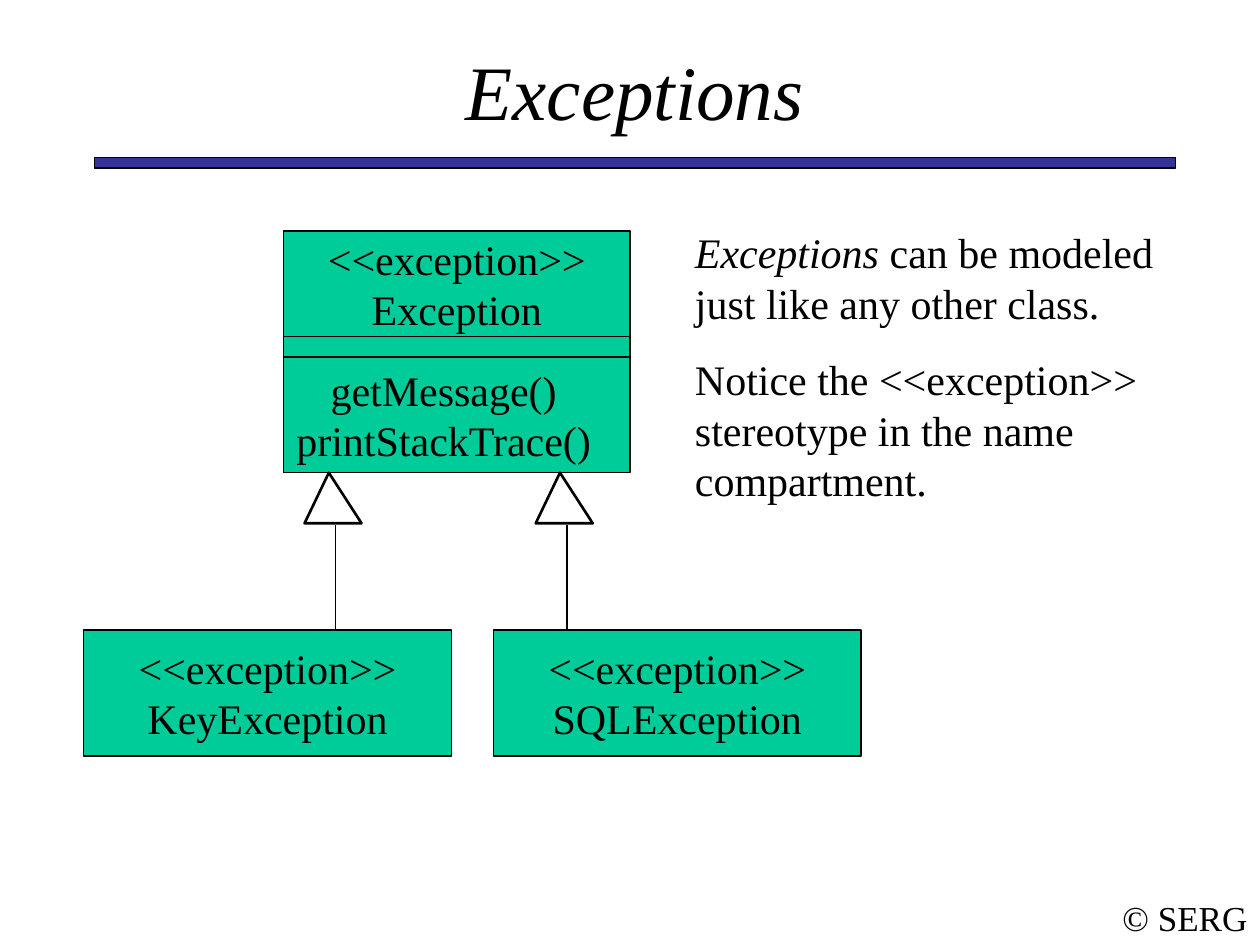
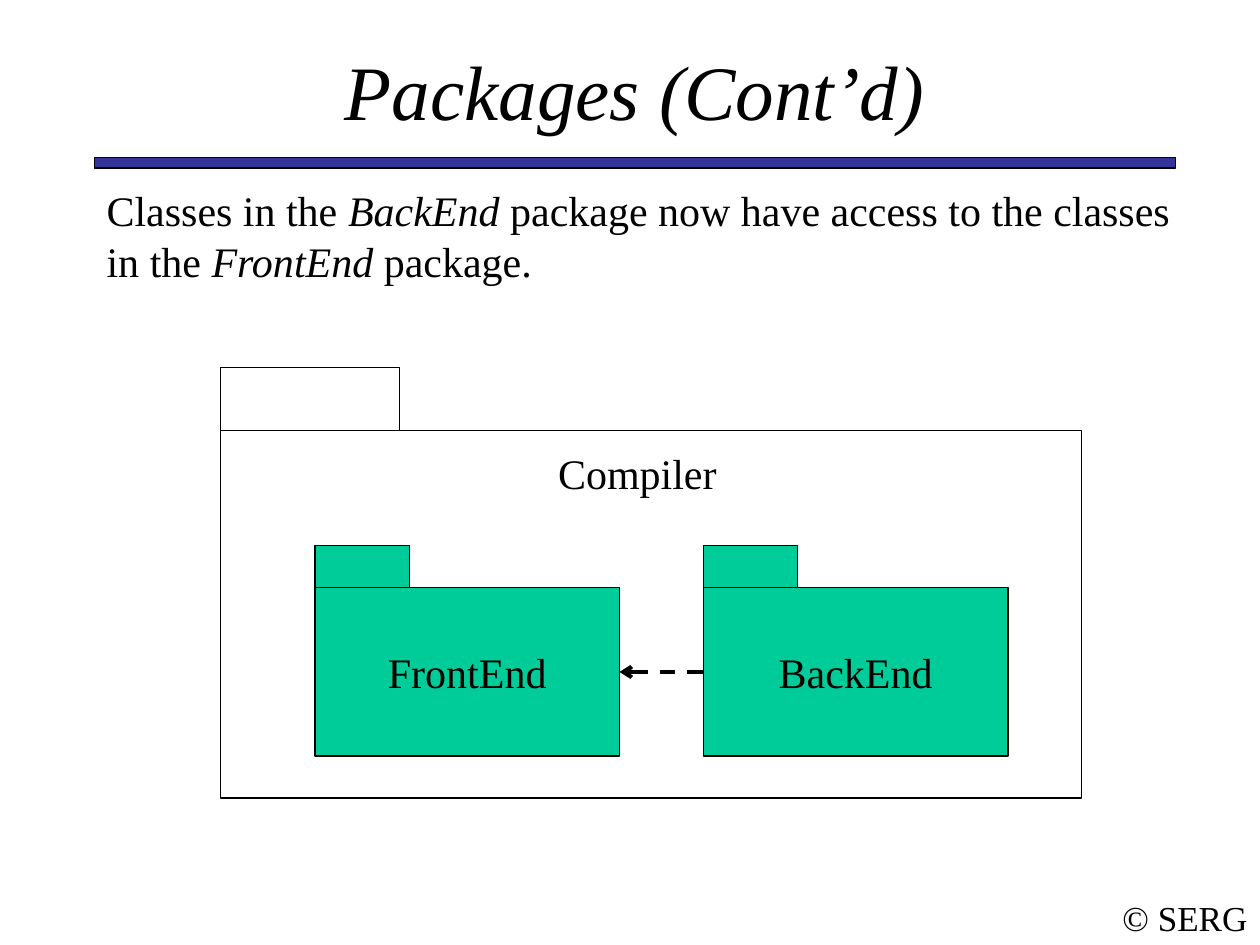
from lxml.etree import SubElement
from pptx import Presentation
from pptx.dml.color import RGBColor
from pptx.enum.dml import MSO_LINE_DASH_STYLE as Dash
from pptx.enum.shapes import MSO_CONNECTOR as Connector, MSO_SHAPE as Shape
from pptx.enum.text import MSO_ANCHOR as Anchor, MSO_AUTO_SIZE as AutoSize, PP_ALIGN as Align
from pptx.oxml.ns import qn
from pptx.util import Cm, Pt

FONT = "Times New Roman"
BLACK, WHITE, GREEN, NAVY = "000000", "FFFFFF", "00CC99", "333399"
TITLE_ONLY = 5


def color(hex_code):
    return RGBColor.from_string(hex_code)


def box(*lengths):
    return [Cm(length) for length in lengths]


# Text: "*" switches italics, "\n" breaks the line
def write(frame, *paragraphs, size=24, italic=False, align=Align.LEFT,
          anchor=Anchor.TOP, wrap=True, before=0):
    frame.word_wrap = wrap
    frame.auto_size = AutoSize.NONE
    frame.vertical_anchor = anchor
    for index, content in enumerate(paragraphs):
        paragraph = frame.add_paragraph() if index else frame.paragraphs[0]
        paragraph.alignment = align
        paragraph.space_before = Pt(before)
        paragraph.line_spacing = Pt(1.2 * size)
        for row, line in enumerate(content.split("\n")):
            if row:
                paragraph.add_line_break()
            for part, words in enumerate(line.split("*")):
                if not words:
                    continue
                run = paragraph.add_run()
                run.text = words
                run.font.name = FONT
                run.font.size = Pt(size)
                run.font.italic = italic or part % 2 == 1
                run.font.color.rgb = color(BLACK)


def add_text(slide, place, *paragraphs, **style):
    frame = slide.shapes.add_textbox(*box(*place)).text_frame
    write(frame, *paragraphs, **style)


# Shapes and lines
def paint(shape, fill, width=0.75):
    shape.shadow.inherit = False
    if fill:
        shape.fill.solid()
        shape.fill.fore_color.rgb = color(fill)
    else:
        shape.fill.background()
    shape.line.color.rgb = color(BLACK)
    shape.line.width = Pt(width)


def add_box(slide, place, *paragraphs, fill=GREEN):
    rectangle = slide.shapes.add_shape(Shape.RECTANGLE, *box(*place))
    paint(rectangle, fill)
    if paragraphs:
        write(rectangle.text_frame, *paragraphs, align=Align.CENTER,
              anchor=Anchor.MIDDLE, wrap=False)
    return rectangle


def add_line(slide, start, end, width=0.75):
    line = slide.shapes.add_connector(Connector.STRAIGHT, *box(*start, *end))
    line.line.color.rgb = color(BLACK)
    line.line.width = Pt(width)
    SubElement(line._element.spPr, qn("a:effectLst"))
    return line


def add_inheritance(slide, x, top, bottom):
    """Hollow triangle under the parent class, with a stem to the subclass."""
    base = top + 1.02
    apex, left, right = [box(x + dx, y) for dx, y in
                         ((-0.14, top), (-0.63, base), (0.52, base))]
    outline = slide.shapes.build_freeform(*apex, scale=1.0)
    outline.add_line_segments([left, right], close=True)
    paint(outline.convert_to_shape(), WHITE, width=1.5)
    add_line(slide, (x, base + 0.04), (x, bottom))


def add_dependency(slide, target, source):
    arrow = add_line(slide, target, source, width=2.25)
    arrow.line.dash_style = Dash.DASH
    SubElement(arrow.line._get_or_add_ln(), qn("a:headEnd"), type="arrow")


def add_package(slide, x, y, width, height, tab, *label, fill=GREEN):
    tab_width, tab_height = tab
    add_box(slide, (x, y, width, height), *label, fill=fill)
    add_box(slide, (x, y - tab_height, tab_width, tab_height), fill=fill)


# Title, rule and footer of every slide
def new_slide(deck, heading):
    slide = deck.slides.add_slide(deck.slide_layouts[TITLE_ONLY])
    title = slide.shapes.title
    title.left, title.top, title.width, title.height = box(1.9, 1.06, 21.8, 1.48)
    write(title.text_frame, heading, size=44, italic=True,
          align=Align.CENTER, anchor=Anchor.MIDDLE)
    add_box(slide, (1.9, 3.18, 21.8, 0.21), fill=NAVY)
    add_text(slide, (22.38, 17.93, 3.02, 1.12), "© SERG", size=20,
             align=Align.CENTER, anchor=Anchor.MIDDLE, wrap=False)
    return slide


def exceptions_slide(deck):
    slide = new_slide(deck, "Exceptions")

    # Parent class: name, attributes and operations, stacked
    top = 4.66
    compartments = (
        (2.12, ["<<exception>>\nException"]),
        (0.42, []),
        (2.33, ["getMessage()", "printStackTrace()"]),
    )
    for height, content in compartments:
        compartment = add_box(slide, (5.72, top, 6.98, height), *content)
        top += height
    # The first operation stands a little left of centre
    first_operation = compartment.text_frame.paragraphs[0]
    first_operation._p.get_or_add_pPr().set("marR", str(Cm(0.53)))

    # Subclasses
    subclass_top = 12.7
    for name, x, stem in (("KeyException", 1.69, 6.77),
                          ("SQLException", 9.95, 11.43)):
        add_box(slide, (x, subclass_top, 7.41, 2.54), f"<<exception>>\n{name}")
        add_inheritance(slide, stem, top, subclass_top)

    add_text(slide, (13.76, 4.45, 9.95, 5.87),
             "*Exceptions* can be modeled just like any other class.",
             "Notice the <<exception>> stereotype in the name compartment.",
             before=15)


def packages_slide(deck):
    slide = new_slide(deck, "Packages (Cont’d)")
    add_text(slide, (1.9, 3.6, 22.44, 2.28),
             "Classes in the *BackEnd* package now have access to the classes "
             "in the *FrontEnd* package.", before=15)

    # Outer package
    add_package(slide, 4.45, 8.68, 17.36, 7.41, (3.6, 1.27), fill=None)
    add_text(slide, (11, 8.89, 5.29, 1.27), "Compiler", before=15)

    # Inner packages and their dependency
    front, back, top, width, height = 6.35, 14.18, 11.85, 6.14, 3.39
    for name, x in (("FrontEnd", front), ("BackEnd", back)):
        add_package(slide, x, top, width, height, (1.9, 0.85), name)
    middle = top + height / 2
    add_dependency(slide, (front + width, middle), (back, middle))


def main():
    deck = Presentation()
    deck.slide_width, deck.slide_height = box(25.4, 19.05)
    exceptions_slide(deck)
    packages_slide(deck)
    deck.save("out.pptx")


if __name__ == "__main__":
    main()
